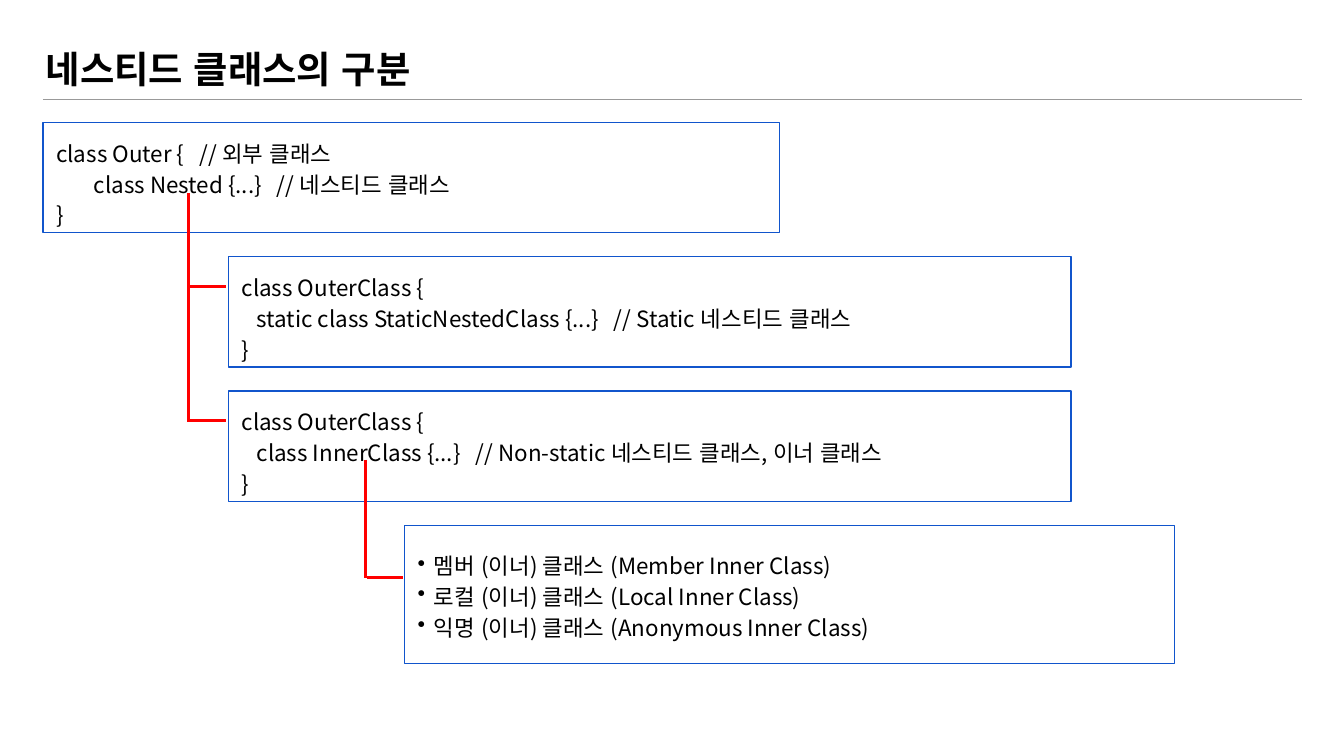
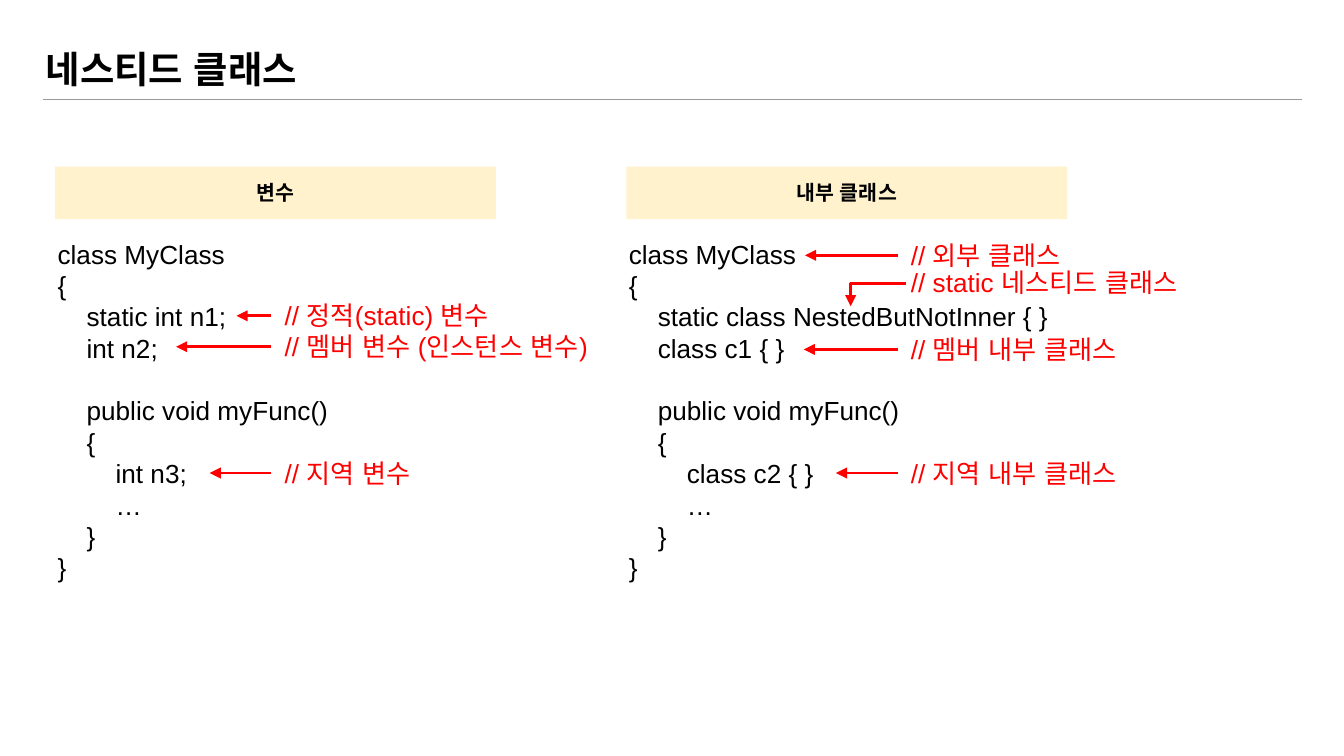
import pptx
import pptx.util
import pptx.dml.color
import pptx.enum.lang
import pptx.enum.shapes
import pptx.enum.text
import pptx.oxml
import pptx.oxml.ns
import lxml.etree

PX = 9144
BLACK, RED, BLUE, GRAY, CREAM = "000000", "FF0000", "1155CC", "999999", "FFF2CC"
KOREAN, LATIN = "Noto Sans CJK KR", "Arial"
rgb = pptx.dml.color.RGBColor.from_string
qn = pptx.oxml.ns.qn
anchors = pptx.enum.text.MSO_ANCHOR
connectors = pptx.enum.shapes.MSO_CONNECTOR
rectangle = pptx.enum.shapes.MSO_SHAPE.RECTANGLE


def write(frame, paragraphs, size, font, color=BLACK, bold=False, spacing=None,
          align=pptx.enum.text.PP_ALIGN.LEFT, anchor=anchors.TOP, bullet=False, gap_at=None):
    frame.word_wrap = True
    frame.vertical_anchor = anchor
    frame.margin_left = frame.margin_right = 10 * PX
    frame.margin_top = frame.margin_bottom = 10 * PX
    for index, lines in enumerate(paragraphs):
        paragraph = frame.paragraphs[0] if index == 0 else frame.add_paragraph()
        paragraph.alignment = align
        if spacing:
            paragraph.line_spacing = spacing
        if index == gap_at:
            paragraph.space_before = pptx.util.Pt(size * 1.2)
        if bullet:
            props = paragraph._p.get_or_add_pPr()
            props.set("marL", str(12 * PX))
            props.set("indent", str(-12 * PX))
            lxml.etree.SubElement(props, qn("a:buChar")).set("char", "•")
        for number, line in enumerate(lines.split("\n")):
            if number:
                paragraph.add_line_break()
            run = paragraph.add_run()
            run.text = line
            run.font.size = pptx.util.Pt(size)
            run.font.name = font
            run.font.bold = bold
            run.font.language_id = pptx.enum.lang.MSO_LANGUAGE_ID.KOREAN
            run.font.color.rgb = rgb(color)
            east_asian = lxml.etree.SubElement(run._r.get_or_add_rPr(), qn("a:ea"))
            east_asian.set("typeface", font)


def connect(slide, x1, y1, x2, y2, color=RED, width=1.5, arrow=False, kind=connectors.STRAIGHT):
    link = slide.shapes.add_connector(kind, x1 * PX, y1 * PX, x2 * PX, y2 * PX)
    link.line.color.rgb = rgb(color)
    link.line.width = pptx.util.Pt(width)
    if arrow:
        tail = lxml.etree.SubElement(link.line._get_or_add_ln(), qn("a:tailEnd"))
        tail.set("type", "triangle")
    lxml.etree.SubElement(link._element.spPr, qn("a:effectLst"))
    return link


deck = pptx.Presentation()
deck.slide_width = 1000 * PX
deck.slide_height = deck.slide_width * 9 // 16

slides = []
for heading in ["네스티드 클래스의 구분", "네스티드 클래스"]:
    slide = deck.slides.add_slide(deck.slide_layouts[5])
    title = slide.shapes.title
    title.left, title.top, title.width, title.height = 24 * PX, 24 * PX, 822 * PX, 54 * PX
    write(title.text_frame, [heading], 20, KOREAN, bold=True)
    connect(slide, 32, 74, 969, 74, GRAY, 0.75)
    slides.append(slide)
kinds, comparison = slides

class_boxes = [
    (32, 91, 548, 82, False,
     ["class Outer {   // 외부 클래스\n      class Nested {...}   // 네스티드 클래스\n}"]),
    (170, 191, 627, 82, False,
     ["class OuterClass {\n   static class StaticNestedClass {...}   // Static 네스티드 클래스\n}"]),
    (170, 291, 627, 82, False,
     ["class OuterClass {\n   class InnerClass {...}   // Non-static 네스티드 클래스, 이너 클래스\n}"]),
    (301, 391, 573, 103, True,
     ["멤버 (이너) 클래스 (Member Inner Class)",
      "로컬 (이너) 클래스 (Local Inner Class)",
      "익명 (이너) 클래스 (Anonymous Inner Class)"]),
]
for left, top, width, height, bulleted, content in class_boxes:
    box = kinds.shapes.add_shape(rectangle, left * PX, top * PX, width * PX, height * PX)
    box.shadow.inherit = False
    box.fill.background()
    box.line.color.rgb = rgb(BLUE)
    box.line.width = pptx.util.Pt(0.75)
    write(box.text_frame, content, 12, KOREAN, spacing=1.15, bullet=bulleted,
          anchor=anchors.MIDDLE if bulleted else anchors.TOP)

for x1, y1, x2, y2 in [(140, 144, 140, 314), (141, 213, 168, 213), (141, 313, 168, 313),
                       (272, 342, 272, 430), (273, 430, 300, 430)]:
    connect(kinds, x1, y1, x2, y2)

columns = [
    (33, 328, "변수", ["static int n1;", "int n2;", "int n3;"], 202,
     [(213, 197, 176, "// 정적(static) 변수"),
      (236, 265, 131, "// 멤버 변수 (인스턴스 변수)"),
      (330, 197, 156, "// 지역 변수")]),
    (458, 428, "내부 클래스",
     ["static class NestedButNotInner { }", "class c1 { }", "class c2 { }"], 668,
     [(168, 197, 599, "// 외부 클래스"),
      (188, 253, None, "// static 네스티드 클래스"),
      (238, 243, 598, "// 멤버 내부 클래스"),
      (330, 197, 622, "// 지역 내부 클래스")]),
]
for left, code_width, caption, (static, member, local), note_left, notes in columns:
    header = comparison.shapes.add_shape(rectangle, (left + 8) * PX, 124 * PX, 328 * PX, 39 * PX)
    header.shadow.inherit = False
    header.fill.solid()
    header.fill.fore_color.rgb = rgb(CREAM)
    header.line.fill.background()
    write(header.text_frame, [caption], 11, LATIN, bold=True,
          align=pptx.enum.text.PP_ALIGN.CENTER)

    code = comparison.shapes.add_textbox(left * PX, 167 * PX, code_width * PX, 279 * PX)
    write(code.text_frame, [
        "class MyClass", "{", "    " + static, "    " + member,
        "    public void myFunc()", "    {", "        " + local, "        …", "    }", "}",
    ], 14, LATIN, gap_at=4)

    for top, width, arrow_tip, remark in notes:
        note = comparison.shapes.add_textbox(note_left * PX, top * PX, width * PX, 44 * PX)
        write(note.text_frame, [remark], 14, LATIN, RED)
        if arrow_tip:
            connect(comparison, note_left, top + 22, arrow_tip, top + 22, arrow=True)

static_arrow = connect(comparison, 674, 211, 633, 228, arrow=True, kind=connectors.ELBOW)
bend = lxml.etree.SubElement(static_arrow._element.spPr.find(qn("a:prstGeom")).find(qn("a:avLst")),
                             qn("a:gd"))
bend.set("name", "adj1")
bend.set("fmla", "val 100000")

deck.save("out.pptx")
